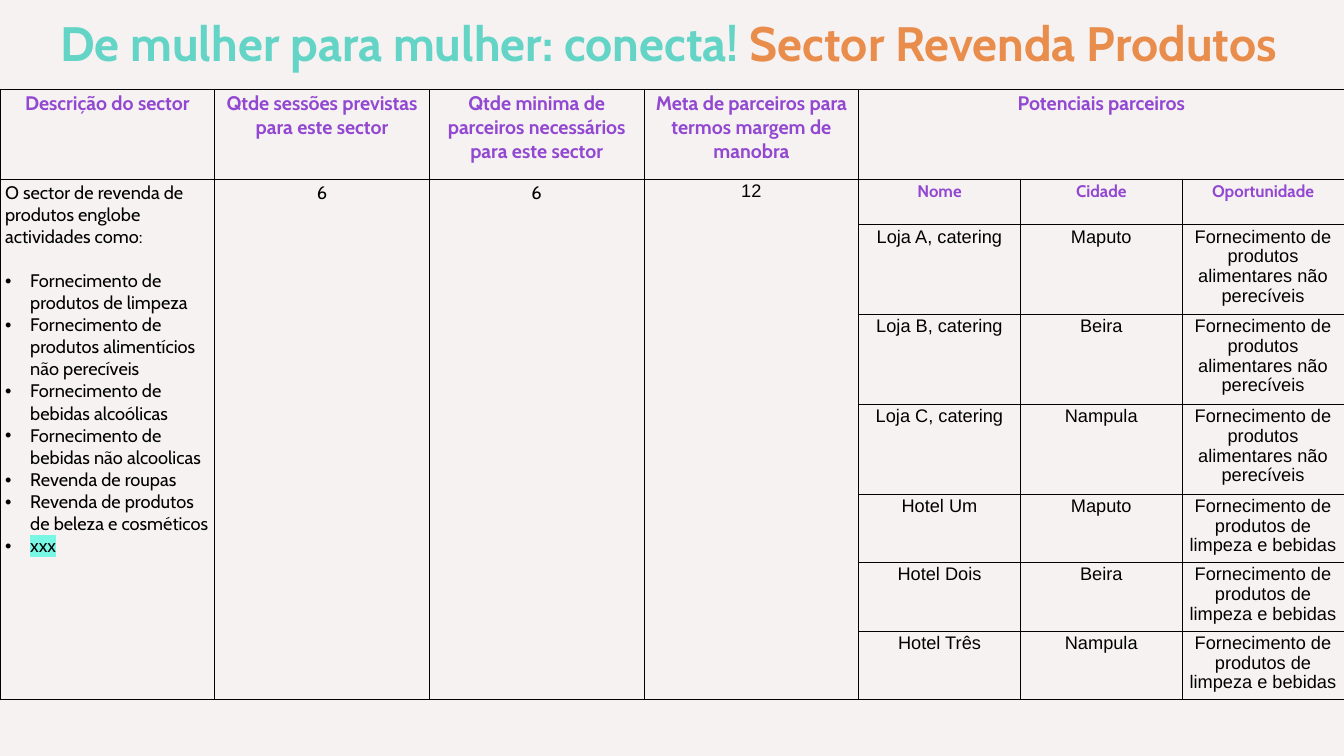
from dataclasses import dataclass

from lxml import etree
from pptx import Presentation
from pptx import util as u
from pptx.dml.color import RGBColor
from pptx.enum import text
from pptx.oxml import ns


@dataclass(frozen=True)
class Theme:
    background: str = "F7F2F2"
    teal: str = "63D4C6"
    orange: str = "E98D4C"
    purple: str = "9248D1"
    black: str = "000000"
    highlight: str = "79F7E5"
    display: str = "Cabin"
    plain: str = "Arial"
    title_size: int = 69
    heading_size: int = 28
    body_size: int = 26
    label_size: int = 24
    border: float = 1


THEME = Theme()
CENTER = text.PP_ALIGN.CENTER
LEFT = text.PP_ALIGN.LEFT

TITLE = dict(name=THEME.display, size=THEME.title_size, bold=True, color=THEME.teal)
HEADING = dict(name=THEME.display, size=THEME.heading_size, bold=True, color=THEME.purple)
LABEL = dict(HEADING, size=THEME.label_size)
BODY = dict(name=THEME.display, size=THEME.body_size, bold=False, color=THEME.black)
PLAIN = dict(BODY, name=THEME.plain)

HEADINGS = [
    "Descrição do sector",
    "Qtde sessões previstas para este sector",
    "Qtde minima de parceiros necessários para este sector",
    "Meta de parceiros para termos margem de manobra",
    "Potenciais parceiros",
]
INTRODUCTION = "O sector de revenda de produtos englobe actividades como:"
ACTIVITIES = [
    "Fornecimento de produtos de limpeza",
    "Fornecimento de produtos alimentícios não perecíveis",
    "Fornecimento de bebidas alcoólicas",
    "Fornecimento de bebidas não alcoolicas",
    "Revenda de roupas",
    "Revenda de produtos de beleza e cosméticos",
]
PENDING_ACTIVITY = "xxx"
TARGETS = [("6", BODY), ("6", BODY), ("12", PLAIN)]
PARTNER_LABELS = ["Nome", "Cidade", "Oportunidade"]
FOOD = "Fornecimento de produtos alimentares não perecíveis"
SUPPLIES = "Fornecimento de produtos de limpeza e bebidas"
PARTNERS = [
    ("Loja A, catering", "Maputo", FOOD),
    ("Loja B, catering", "Beira", FOOD),
    ("Loja C, catering", "Nampula", FOOD),
    ("Hotel Um", "Maputo", SUPPLIES),
    ("Hotel Dois", "Beira", SUPPLIES),
    ("Hotel Três", "Nampula", SUPPLIES),
]
COLUMN_WIDTHS = [4.26] * 4 + [3.21] * 3
ROW_HEIGHTS = [1.78, 0.91] + [1.71] * 3 + [1.31] * 3
FIRST_PARTNER_COLUMN = 4


def add_run(paragraph, content, style):
    run = paragraph.add_run()
    run.text = content
    values = dict(style, size=u.Pt(style["size"]))
    color = values.pop("color")
    for attribute, value in values.items():
        setattr(run.font, attribute, value)
    run.font.color.rgb = RGBColor.from_string(color)
    return run


def fill_cell(cell, content, style, align=CENTER, line_spacing=None):
    paragraph = cell.text_frame.paragraphs[0]
    paragraph.alignment = align
    paragraph.line_spacing = line_spacing
    add_run(paragraph, content, style)


def add_bullet(paragraph):
    properties = paragraph._p.get_or_add_pPr()
    indent = u.Inches(0.5)
    properties.set("marL", str(indent))
    properties.set("indent", str(-indent))
    etree.SubElement(properties, ns.qn("a:buFont"), typeface=THEME.plain)
    etree.SubElement(properties, ns.qn("a:buChar"), char="•")


def highlight_run(run, color):
    highlight = etree.Element(ns.qn("a:highlight"))
    etree.SubElement(highlight, ns.qn("a:srgbClr"), val=color)
    run._r.rPr.find(ns.qn("a:solidFill")).addnext(highlight)


def format_cell(cell):
    properties = cell._tc.get_or_add_tcPr()
    for side in ("lnL", "lnR", "lnT", "lnB"):
        line = etree.SubElement(properties, ns.qn(f"a:{side}"), w=str(u.Pt(THEME.border)))
        fill = etree.SubElement(line, ns.qn("a:solidFill"))
        etree.SubElement(fill, ns.qn("a:srgbClr"), val=THEME.black)
    cell.fill.background()


def add_title(slide, left, top, width, height):
    shape = slide.shapes.add_textbox(*map(u.Inches, (left, top, width, height)))
    frame = shape.text_frame
    frame.word_wrap = True
    frame.vertical_anchor = text.MSO_ANCHOR.MIDDLE
    for side in ("left", "top", "right", "bottom"):
        setattr(frame, f"margin_{side}", u.Inches(0.06))
    paragraph = frame.paragraphs[0]
    paragraph.alignment = CENTER
    add_run(paragraph, "De mulher para mulher: conecta! ", TITLE)
    add_run(paragraph, "Sector Revenda Produtos", dict(TITLE, color=THEME.orange))


def fill_description(cell):
    fill_cell(cell, INTRODUCTION, BODY, LEFT)
    for index, activity in enumerate(ACTIVITIES + [PENDING_ACTIVITY]):
        paragraph = cell.text_frame.add_paragraph()
        if index == 0:
            paragraph.space_before = u.Pt(31.6)
        add_bullet(paragraph)
        run = add_run(paragraph, activity, BODY)
    highlight_run(run, THEME.highlight)


def fill_partners(table, first_row, first_column):
    for row, record in enumerate([PARTNER_LABELS] + PARTNERS):
        style, spacing = (PLAIN, 0.97) if row else (LABEL, None)
        for column, content in enumerate(record):
            cell = table.cell(first_row + row, first_column + column)
            fill_cell(cell, content, style, line_spacing=spacing)


def add_sector_table(slide, left, top):
    box = (left, top, sum(COLUMN_WIDTHS), sum(ROW_HEIGHTS))
    shape = slide.shapes.add_table(
        len(ROW_HEIGHTS), len(COLUMN_WIDTHS), *map(u.Inches, box)
    )
    table = shape.table
    table.first_row = table.horz_banding = False
    for column, width in zip(table.columns, COLUMN_WIDTHS):
        column.width = u.Inches(width)
    for row, height in zip(table.rows, ROW_HEIGHTS):
        row.height = u.Inches(height)
    for cell in table.iter_cells():
        format_cell(cell)

    last_row, last_column = len(ROW_HEIGHTS) - 1, len(COLUMN_WIDTHS) - 1
    table.cell(0, FIRST_PARTNER_COLUMN).merge(table.cell(0, last_column))
    for column in range(FIRST_PARTNER_COLUMN):
        table.cell(1, column).merge(table.cell(last_row, column))

    for column, heading in enumerate(HEADINGS):
        fill_cell(table.cell(0, column), heading, HEADING)
    fill_description(table.cell(1, 0))
    for column, (target, style) in enumerate(TARGETS, start=1):
        fill_cell(table.cell(1, column), target, style)
    fill_partners(table, 1, FIRST_PARTNER_COLUMN)


def main():
    presentation = Presentation()
    presentation.slide_width = u.Inches(26.67)
    presentation.slide_height = u.Inches(15)
    slide = presentation.slides.add_slide(presentation.slide_layouts[6])
    slide.background.fill.solid()
    slide.background.fill.fore_color.rgb = RGBColor.from_string(THEME.background)
    add_title(slide, -0.2, 0.03, 26.94, 1.62)
    add_sector_table(slide, 0, 1.77)
    presentation.save("out.pptx")


if __name__ == "__main__":
    main()
